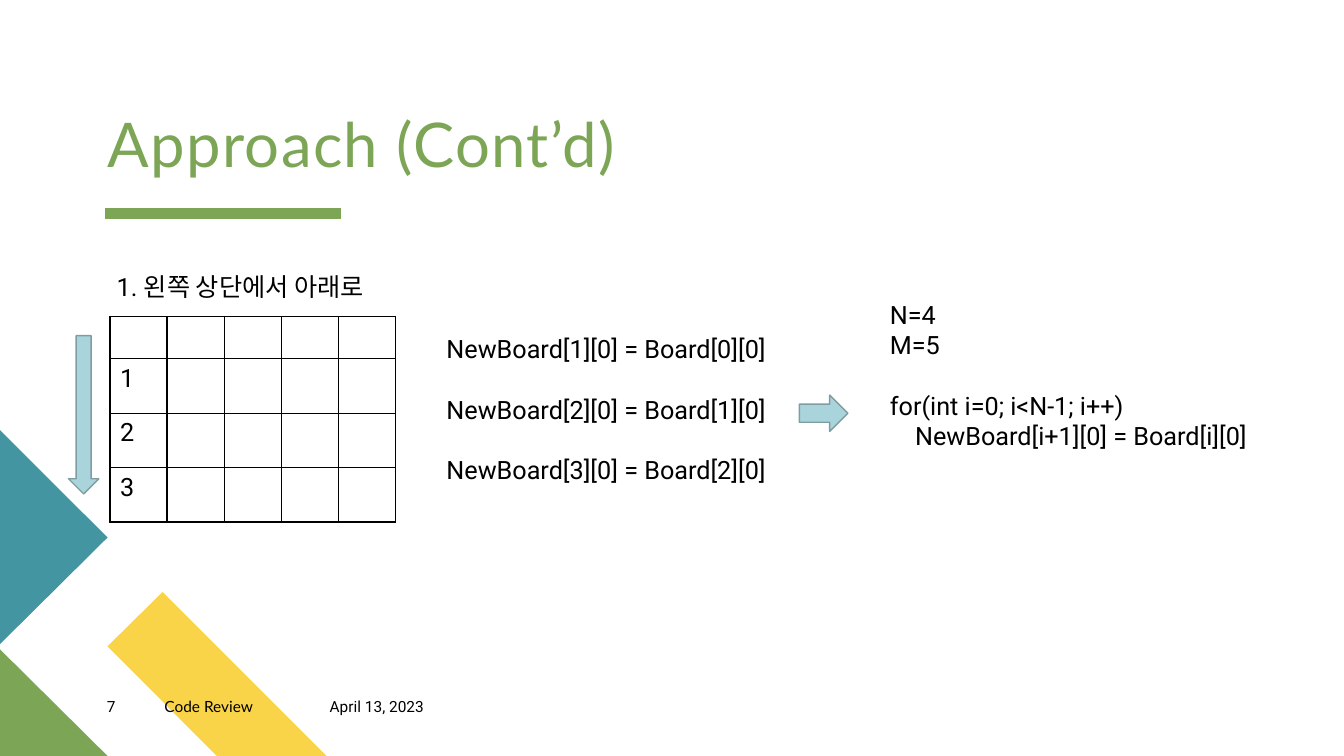
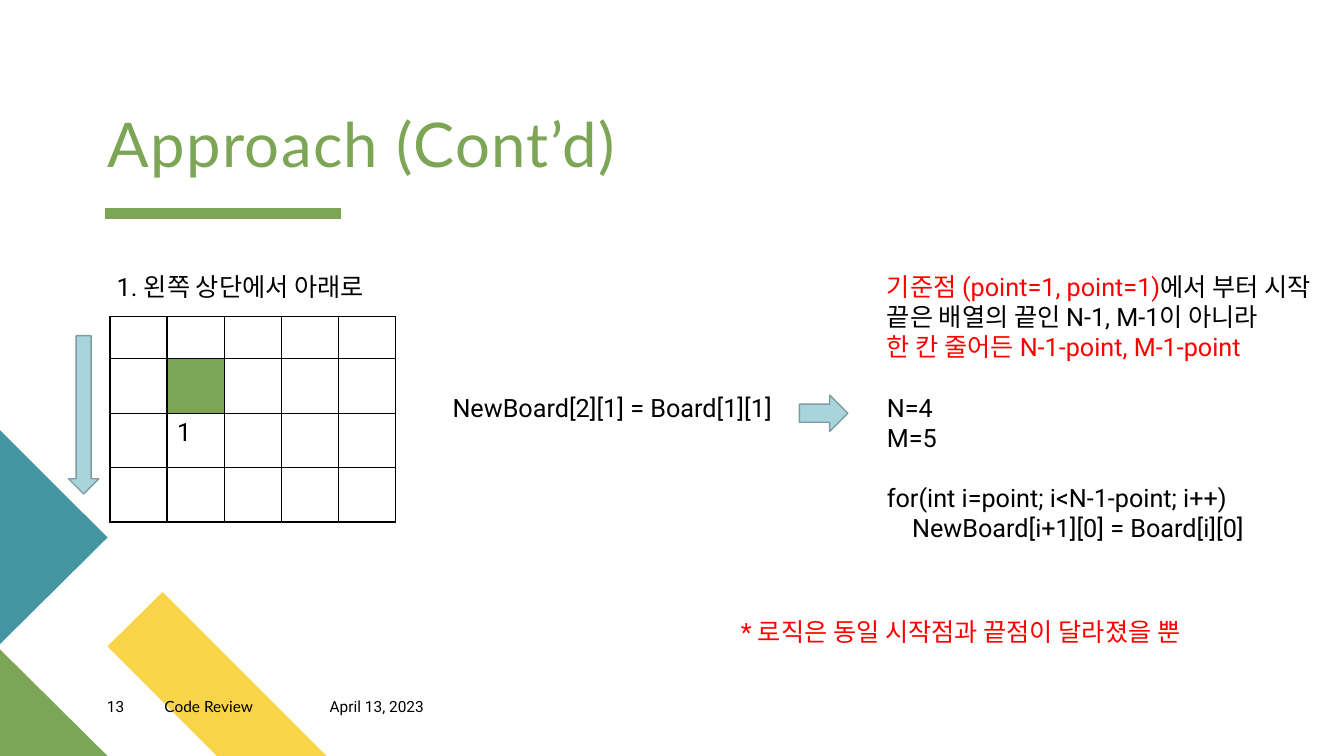
"""Builds two code review slides about rotating a board."""
from dataclasses import dataclass

from lxml.etree import SubElement
from pptx import Presentation
from pptx.dml.color import RGBColor as RGB
from pptx.enum.shapes import MSO_CONNECTOR as WIRE, MSO_SHAPE as SHAPE
from pptx.enum.text import MSO_ANCHOR as ANCHOR, MSO_AUTO_SIZE as FIT
from pptx.oxml.ns import qn
from pptx.util import Inches, Pt

WIDE, HIGH = Inches(13.33), Inches(7.5)
INK = {
    "black": "000000", "red": "FF0000", "green": "7CA655", "teal": "4495A2",
    "yellow": "F9D448", "pale": "A9D4DB", "edge": "7D9DA2",
}
BANDS = {
    "yellow": [(24.3, 100), (16.13, 100), (8, 85.5), (12.1, 78.3)],
    "green": [(8, 100), (0, 100), (0, 85.9)],
    "teal": [(0, 56.9), (8, 71.1), (0, 85.2)],
}
COLS, COL = 5, 4.25
ROWS = [5.6, 7.2, 7.2, 7.2]
SKIP = 21.5


@dataclass
class Line:
    """One paragraph; tail is a black ending, gap the points above it."""
    text: str
    ink: str = "black"
    tail: str = ""
    gap: float = 0
    pad: float = 0


def hue(name):
    """Return the named colour."""
    return RGB.from_string(INK[name])


def left(share):
    """Return a share of the slide's width, in percent."""
    return round(WIDE * share / 100)


def down(share):
    """Return a share of the slide's height, in percent."""
    return round(HIGH * share / 100)


def area(x, y, w, h):
    """Return a box given in percent as lengths."""
    return left(x), down(y), left(w), down(h)


def style(run, size=18, ink="black", face="Roboto"):
    """Format one run."""
    run.font.size, run.font.name = Pt(size), face
    run.font.color.rgb = hue(ink)


def label(slide, box, text, size, ink="black", face="Roboto"):
    """Add a one-line text without insets and return its frame."""
    frame = slide.shapes.add_textbox(*area(*box)).text_frame
    frame.word_wrap = True
    frame.margin_left = frame.margin_right = 0
    frame.margin_top = frame.margin_bottom = 0
    frame.text = text
    style(frame.paragraphs[0].runs[0], size, ink, face)
    return frame


def note(slide, box, *lines):
    """Add a text box that fits its lines."""
    frame = slide.shapes.add_textbox(*area(*box)).text_frame
    frame.word_wrap, frame.auto_size = False, FIT.SHAPE_TO_FIT_TEXT
    for i, line in enumerate(lines):
        para = frame.add_paragraph() if i else frame.paragraphs[0]
        para.text = line.text
        para.space_before = Pt(line.gap)
        if line.pad:
            para._p.get_or_add_pPr().set("marL", str(Inches(line.pad)))
        style(para.runs[0], ink=line.ink)
        if line.tail:
            run = para.add_run()
            run.text = line.tail
            style(run)


def band(slide, ink, dots):
    """Draw a filled outline through the given points."""
    dots = [(left(x), down(y)) for x, y in dots]
    pen = slide.shapes.build_freeform(*dots[0])
    pen.add_line_segments(dots[1:])
    shape = pen.convert_to_shape()
    shape.shadow.inherit = False
    shape.fill.solid()
    shape.fill.fore_color.rgb = hue(ink)
    shape.line.fill.background()


def rule(slide, x, end, y):
    """Draw the thick line under the title."""
    wire = slide.shapes.add_connector(
        WIRE.STRAIGHT, left(x), down(y), left(end), down(y))
    wire.line.color.rgb, wire.line.width = hue("green"), Pt(8)
    SubElement(wire._element.spPr, qn("a:effectLst"))


def arrow(slide, kind, box):
    """Add a pale block arrow."""
    shape = slide.shapes.add_shape(kind, *area(*box))
    shape.shadow.inherit = False
    shape.fill.solid()
    shape.fill.fore_color.rgb = hue("pale")
    shape.line.color.rgb, shape.line.width = hue("edge"), Pt(1)


def border(cell):
    """Give a cell thin black edges."""
    props = cell._tc.get_or_add_tcPr()
    for i, side in enumerate("LRTB"):
        edge = SubElement(props, qn(f"a:ln{side}"), w=str(Pt(1)))
        fill = SubElement(edge, qn("a:solidFill"))
        SubElement(fill, qn("a:srgbClr"), val=INK["black"])
        props.insert(i, edge)


def board(slide, marks, fills):
    """Add the board, with texts and fills keyed by row and column."""
    box = area(8.18, 41.87, COL * COLS, sum(ROWS))
    grid = slide.shapes.add_table(len(ROWS), COLS, *box).table
    grid.first_row = grid.horz_banding = False
    for col in grid.columns:
        col.width = left(COL)
    for r, size in enumerate(ROWS):
        grid.rows[r].height = down(size)
        for c in range(COLS):
            cell = grid.cell(r, c)
            if (r, c) in fills:
                cell.fill.solid()
                cell.fill.fore_color.rgb = hue(fills[r, c])
            else:
                cell.fill.background()
            border(cell)
            if (r, c) in marks:
                cell.text = marks[r, c]
                style(cell.text_frame.paragraphs[0].runs[0])


def loop(head, gap=0):
    """Return the lines of the sizes and the loop."""
    return [
        Line("N=4", gap=gap), Line("M=5"), Line(head, gap=SKIP),
        Line("NewBoard[i+1][0] = Board[i][0]", pad=0.25),
    ]


def base(deck, page, marks, fills):
    """Add a slide with bands, title, footer, board and arrows."""
    slide = deck.slides.add_slide(deck.slide_layouts[6])
    for ink, dots in BANDS.items():
        band(slide, ink, dots)
    rule(slide, 7.8, 25.35, 28.27)
    title = label(slide, (8, 14.93, 40.5, 8.93), "Approach (Cont’d)",
                  44, "green", "Lato")
    title.vertical_anchor = ANCHOR.BOTTOM
    para = title.paragraphs[0]
    para.line_spacing = 0.9
    para.runs[0].font._element.set("spc", "100")
    for x, w, text, face in [
        (7.95, 4.28, page, "Roboto"),
        (12.23, 12.3, "Code Review", "Lato"),
        (24.53, 10.8, "April 13, 2023", "Roboto"),
    ]:
        label(slide, (x, 92.27, w, 3.6), text, 11, face=face)
    note(slide, (7.95, 35.2, 21.98, 5.33), Line("1. 왼쪽 상단에서 아래로"))
    board(slide, marks, fills)
    arrow(slide, SHAPE.DOWN_ARROW, (5.1, 44.4, 2.25, 20.93))
    arrow(slide, SHAPE.RIGHT_ARROW, (59.48, 52.27, 3.6, 4.8))
    return slide


def outer(deck):
    """Add the slide on the outer ring."""
    slide = base(deck, "7", {(r, 0): str(r) for r in (1, 2, 3)}, {})
    moves = [Line(f"NewBoard[{r}][0] = Board[{r - 1}][0]",
                  gap=SKIP if r > 1 else 0) for r in (1, 2, 3)]
    note(slide, (32.48, 43.47, 25.35, 21.6), *moves)
    note(slide, (65.48, 38.93, 28.13, 21.6),
         *loop("for(int i=0; i<N-1; i++)"))


def inner(deck):
    """Add the slide on the inner ring."""
    slide = base(deck, "13", {(2, 1): "1"}, {(1, 1): "green"})
    note(slide, (32.93, 51.2, 25.35, 5.33),
         Line("NewBoard[2][1] = Board[1][1]"))
    note(slide, (65.25, 35.2, 34.5, 45.73),
         Line("기준점 (point=1, point=1)", "red", "에서 부터 시작"),
         Line("끝은 배열의 끝인 N-1, M-1이 아니라"),
         Line("한 칸 줄어든 N-1-point, M-1-point", "red"),
         *loop("for(int i=point; i<N-1-point; i++)", SKIP))
    note(slide, (54.38, 80.93, 37.65, 5.33),
         Line("* 로직은 동일 시작점과 끝점이 달라졌을 뿐", "red"))


def main():
    """Build and save the deck."""
    deck = Presentation()
    deck.slide_width, deck.slide_height = WIDE, HIGH
    outer(deck)
    inner(deck)
    deck.save("out.pptx")


if __name__ == "__main__":
    main()
